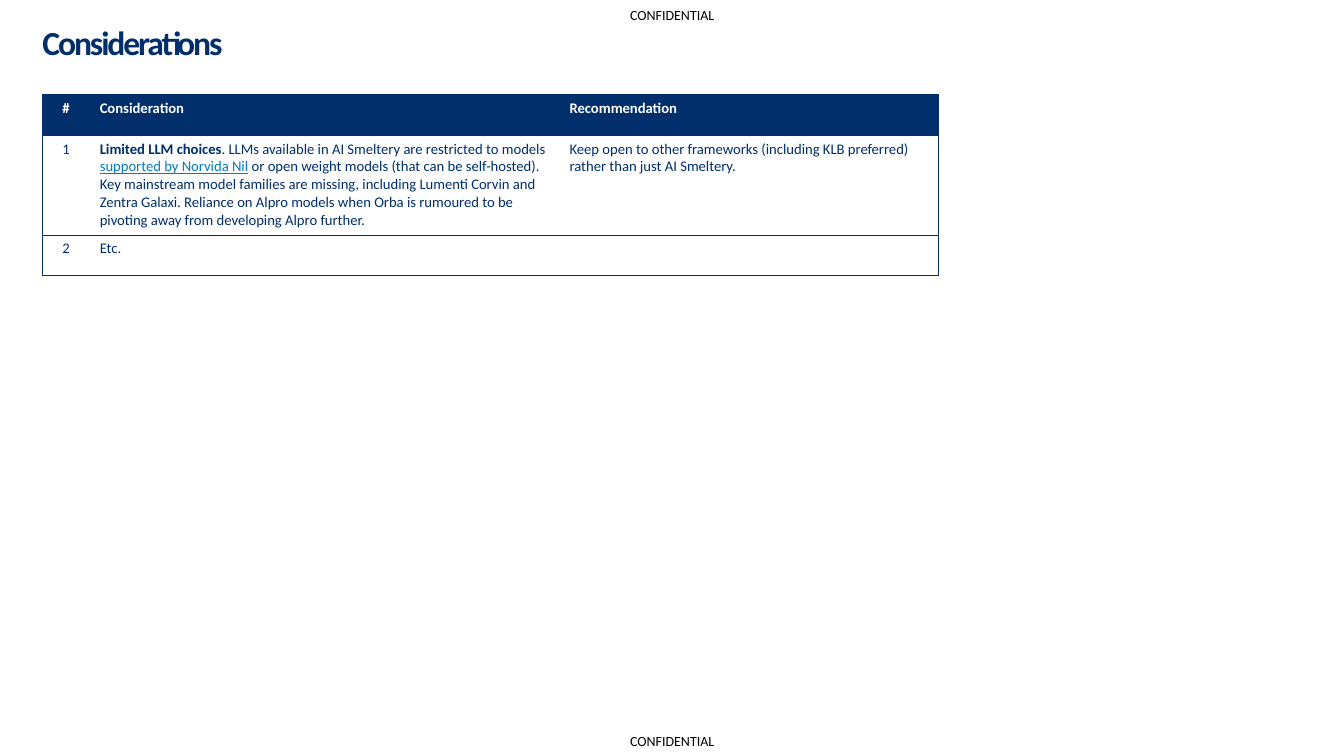
from pptx import Presentation
from pptx.dml.color import RGBColor
from pptx.enum.text import PP_ALIGN as Align
from pptx.oxml.ns import qn
from pptx.util import Inches, Pt
from lxml.etree import SubElement as Sub

NAVY, BLUE, WHITE, BLACK = "002F6B", "007DC3", "FFFFFF", "000000"
PLAIN = "{2D5ABB26-0587-4C30-8999-92F81FD0307C}"


def tint(code):
    return RGBColor.from_string(code)


class Deck:
    font = "Calibri"

    def __init__(self, wide, high):
        self.show = Presentation()
        self.show.slide_width = Inches(wide)
        self.show.slide_height = Inches(high)
        self.slide = self.show.slides.add_slide(self.show.slide_layouts[6])

    def style(self, run, size, color, bold=False, line=False):
        font = run.font
        font.name, font.size, font.bold = self.font, Pt(size), bold
        font.underline = line
        font.color.rgb = tint(color)

    def text(self, words, box, size, color, bold=False, wrap=False):
        shape = self.slide.shapes.add_textbox(*map(Inches, box))
        frame = shape.text_frame
        frame.margin_left = frame.margin_right = 0
        frame.margin_top = frame.margin_bottom = 0
        frame.word_wrap = wrap
        frame.text = words
        para = frame.paragraphs[0]
        self.style(para.runs[0], size, color, bold)
        return para

    def title(self, words, box):
        para = self.text(words, box, 24, NAVY, True, True)
        para.line_spacing = 0.65
        para.runs[0].font._element.set("spc", "-150")

    def edge(self, cell, sides):
        props = cell._tc.get_or_add_tcPr()
        for side in sides:
            line = Sub(props, qn("a:ln" + side), w=str(Pt(0.5)))
            fill = Sub(line, qn("a:solidFill"))
            Sub(fill, qn("a:srgbClr"), val=NAVY)

    def cell(self, cell, parts, head, first, last):
        self.edge(cell, "L" * first + "R" * last + "TB")
        cell.fill.solid()
        cell.fill.fore_color.rgb = tint(NAVY if head else WHITE)
        para = cell.text_frame.paragraphs[0]
        para.alignment = Align.CENTER if first else Align.LEFT
        for words, kind in parts:
            run = para.add_run()
            run.text = words
            link = kind == "link"
            color = WHITE if head else BLUE if link else NAVY
            self.style(run, 10.5, color, head or kind == "bold", link)

    def table(self, rows, left, top, cols, highs):
        frame = self.slide.shapes.add_table(
            len(rows), len(cols), Inches(left), Inches(top),
            Inches(sum(cols)), Inches(sum(highs)))
        grid = frame.table
        grid._tbl.tblPr.find(qn("a:tableStyleId")).text = PLAIN
        for col, wide in zip(grid.columns, cols):
            col.width = Inches(wide)
        for row, high in zip(grid.rows, highs):
            row.height = Inches(high)
        for i, row in enumerate(rows):
            for j, item in enumerate(row):
                parts = [(item, "")] if isinstance(item, str) else item
                self.cell(grid.cell(i, j), parts, i == 0,
                          j == 0, j == len(cols) - 1)


LIMIT = [
    ("Limited LLM choices", "bold"),
    (". LLMs available in AI Smeltery are restricted to models ", ""),
    ("supported by Norvida Nil", "link"),
    (" or open weight models (that can be self-hosted). Key mainstream "
     "model families are missing, including Lumenti Corvin and "
     "Zentra Galaxi. Reliance on Alpro models when Orba is rumoured to be "
     "pivoting away from developing Alpro further.", ""),
]
ROWS = [
    ["#", "Consideration", "Recommendation"],
    ["1", LIMIT, "Keep open to other frameworks (including KLB preferred) "
     "rather than just AI Smeltery."],
    ["2", "Etc.", []],
]


def main():
    deck = Deck(13.33, 7.5)
    for top in (7.27, 0.06):
        deck.text("CONFIDENTIAL", (6.25, top, 0.87, 0.17), 10, BLACK)
    deck.title("Considerations", (0.42, 0.34, 12.28, 0.33))
    deck.table(ROWS, 0.42, 0.94, (0.47, 4.66, 3.76), (0.4, 0.99, 0.4))
    deck.show.save("out.pptx")


if __name__ == "__main__":
    main()
